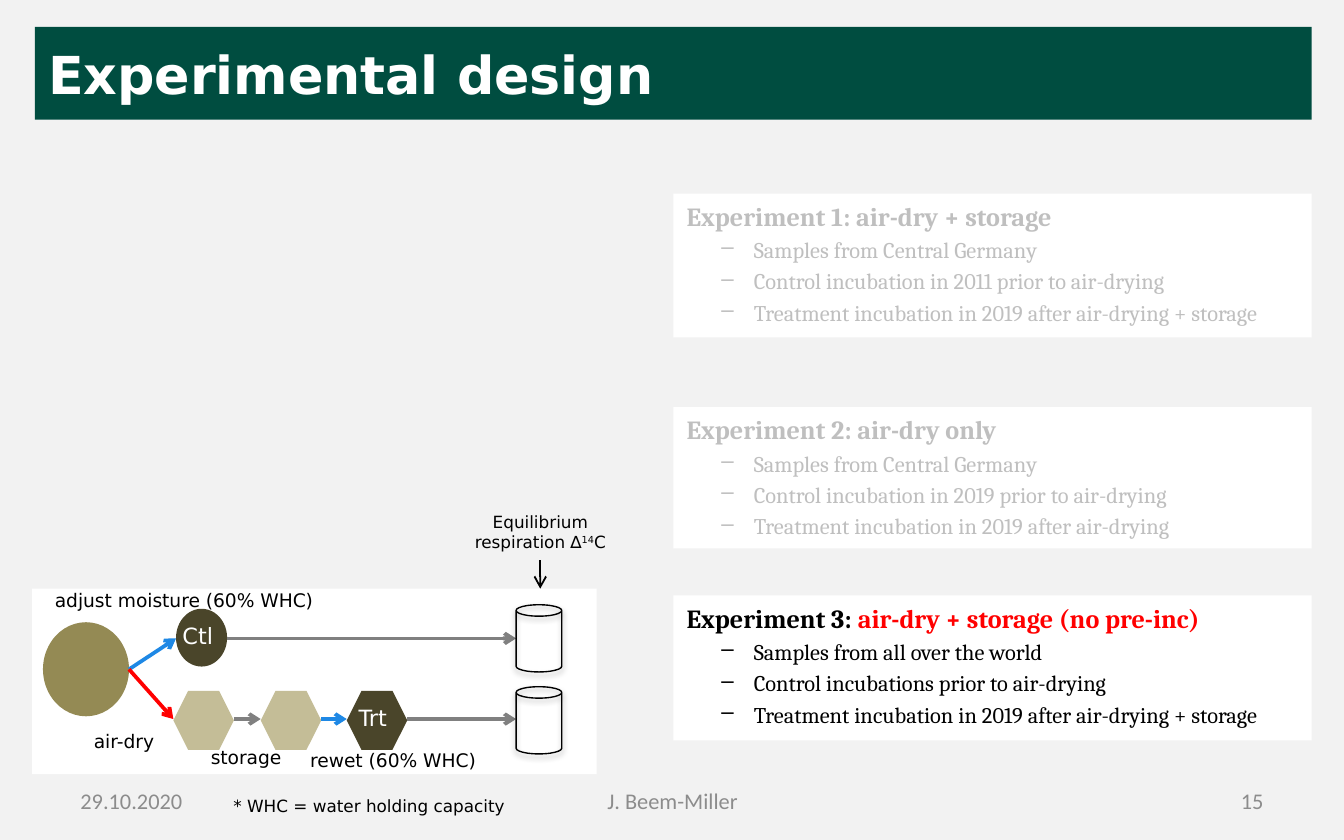
from dataclasses import dataclass

from lxml import etree
from pptx import Presentation
from pptx import util as u
from pptx.dml.color import RGBColor
from pptx.enum import shapes, text
from pptx.oxml.ns import qn

PX = 9144  # 100 px to the inch
SHAPE = shapes.MSO_SHAPE
ALIGN = text.PP_ALIGN
ANCHOR = text.MSO_ANCHOR


@dataclass(frozen=True)
class Theme:
    background: str = "F2F2F2"
    panel: str = "FFFFFF"
    title_bar: str = "004D40"
    ink: str = "000000"
    muted: str = "BFBFBF"
    footer: str = "8C8C8C"
    soil: str = "948A54"
    dry_soil: str = "C4BD97"
    moist_soil: str = "4A452A"
    wet: str = "1E88E5"
    dry: str = "FF0000"
    neutral: str = "808080"
    sans: str = "DejaVu Sans"
    serif: str = "Cambria"
    plain: str = "Calibri"
    title_size: int = 28
    heading_size: int = 14
    body_size: int = 12
    label_size: int = 10
    note_size: int = 9


def px(*lengths):
    return [u.Emu(length * PX) for length in lengths]


def add_xml(parent, tag, **attributes):
    element = etree.SubElement(parent, qn(tag))
    for name, value in attributes.items():
        element.set(name, str(value))
    return element


def write(paragraph, words, *, font, size, color, bold=False, align=ALIGN.LEFT,
          superscript=False):
    """Add one formatted run to the paragraph."""
    paragraph.alignment = align
    run = paragraph.add_run()
    run.text = words
    run.font.name, run.font.size, run.font.bold = font, u.Pt(size), bold
    run.font.color.rgb = RGBColor.from_string(color)
    if superscript:
        run.font._element.set("baseline", "30000")


def space_and_bullet(paragraph, bullet=False, last=False):
    properties = paragraph._p.get_or_add_pPr()
    add_xml(add_xml(properties, "a:spcBef"), "a:spcPct", val=20000)
    if last:
        paragraph.space_after = u.Pt(6)
    if bullet:
        paragraph.level = 1
        left, hanging = px(50, -24)
        properties.set("marL", str(left))
        properties.set("indent", str(hanging))
        add_xml(properties, "a:buChar", char="–")


class SlideBuilder:
    def __init__(self, slide, theme):
        self.slide, self.theme = slide, theme
        slide.background.fill.solid()
        slide.background.fill.fore_color.rgb = RGBColor.from_string(theme.background)

    def block(self, kind, left, top, width, height, fill):
        shape = self.slide.shapes.add_shape(kind, *px(left, top, width, height))
        shape.shadow.inherit = False
        shape.fill.solid()
        shape.fill.fore_color.rgb = RGBColor.from_string(fill)
        shape.line.fill.background()
        return shape

    def title(self, words, *box):
        bar = self.block(SHAPE.RECTANGLE, *box, self.theme.title_bar)
        bar.text_frame.vertical_anchor = ANCHOR.MIDDLE
        write(bar.text_frame.paragraphs[0], words, font=self.theme.sans,
              size=self.theme.title_size, color=self.theme.panel, bold=True)

    def experiment(self, top, height, heading, items, color):
        """Panel with a heading of (words, colour) pairs above dashed items."""
        panel = self.block(SHAPE.RECTANGLE, 501, top, 475, height, self.theme.panel)
        frame = panel.text_frame
        frame.word_wrap, frame.vertical_anchor = True, ANCHOR.TOP
        paragraph = frame.paragraphs[0]
        space_and_bullet(paragraph)
        for words, heading_color in heading:
            write(paragraph, words, font=self.theme.serif,
                  size=self.theme.heading_size, color=heading_color, bold=True)
        for item in items:
            paragraph = frame.add_paragraph()
            space_and_bullet(paragraph, bullet=True, last=item is items[-1])
            write(paragraph, item, font=self.theme.serif,
                  size=self.theme.body_size, color=color)

    def label(self, words, left, top, width, height, *, wrap=False, grow=True,
              anchor=ANCHOR.TOP, **style):
        box = self.slide.shapes.add_textbox(*px(left, top, width, height))
        frame = box.text_frame
        frame.word_wrap, frame.vertical_anchor = wrap, anchor
        if grow:
            frame.auto_size = text.MSO_AUTO_SIZE.SHAPE_TO_FIT_TEXT
        style = {"font": self.theme.sans, "size": self.theme.label_size,
                 "color": self.theme.ink} | style
        write(frame.paragraphs[0], words, **style)
        return box

    def footer(self, words, left, width, align):
        self.label(words, left, 579, width, 33, wrap=True, grow=False,
                   anchor=ANCHOR.MIDDLE, font=self.theme.plain,
                   size=self.theme.body_size, color=self.theme.footer, align=align)

    def arrow(self, start, end, color, width=2):
        connector = self.slide.shapes.add_connector(
            shapes.MSO_CONNECTOR.STRAIGHT, *px(*start, *end))
        connector.line.color.rgb = RGBColor.from_string(color)
        connector.line.width = u.Pt(width)
        properties = connector._element.spPr
        add_xml(properties.find(qn("a:ln")), "a:tailEnd", type="arrow")
        add_xml(properties, "a:effectLst")
        return connector

    def jar(self, left, top):
        jar = self.block(SHAPE.CAN, left, top, 34, 50, self.theme.panel)
        jar.fill.background()
        jar.line.color.rgb = RGBColor.from_string(self.theme.ink)
        jar.line.width = u.Pt(0.75)
        shadow = add_xml(jar._element.spPr.find(qn("a:effectLst")), "a:outerShdw",
                         blurRad=u.Pt(3.1), dist=u.Pt(1.8), dir=5400000, rotWithShape=0)
        add_xml(add_xml(shadow, "a:srgbClr", val=self.theme.ink), "a:alpha", val=35000)


def draw_experiments(builder):
    theme = builder.theme
    germany = "Samples from Central Germany"
    stored = "Treatment incubation in 2019 after air-drying + storage"
    builder.experiment(144, 107, [("Experiment 1: air-dry + storage", theme.muted)],
                       [germany, "Control incubation in 2011 prior to air-drying", stored],
                       theme.muted)
    builder.experiment(303, 105, [("Experiment 2: air-dry only", theme.muted)],
                       [germany, "Control incubation in 2019 prior to air-drying",
                        "Treatment incubation in 2019 after air-drying"], theme.muted)
    builder.experiment(443, 108, [("Experiment 3: ", theme.ink),
                                  ("air-dry + storage (no pre-inc)", theme.dry)],
                       ["Samples from all over the world",
                        "Control incubations prior to air-drying", stored], theme.ink)


def draw_diagram(builder):
    theme = builder.theme
    control_y, treatment_y, jar_left, hexagon_width = 475, 535, 384, 45
    source = (96, 498)
    builder.block(SHAPE.RECTANGLE, 24, 438, 420, 138, theme.panel)
    builder.block(SHAPE.OVAL, 32, 463, 64, 70, theme.soil)
    builder.block(SHAPE.OVAL, 131, 453, 38, 43, theme.moist_soil)
    builder.arrow(source, (131, control_y), theme.wet)
    builder.arrow(source, (129, treatment_y), theme.dry)
    builder.arrow((169, control_y), (jar_left, control_y), theme.neutral)

    lefts = [129, 194, 258]
    fills = [theme.dry_soil, theme.dry_soil, theme.moist_soil]
    arrow_colors = [theme.neutral, theme.wet, theme.neutral]
    for left, following, fill, color in zip(lefts, lefts[1:] + [jar_left], fills, arrow_colors):
        builder.block(SHAPE.HEXAGON, left, 514, hexagon_width, 44, fill)
        builder.arrow((left + hexagon_width, treatment_y), (following, treatment_y), color)
    for top in (450, 511):
        builder.jar(jar_left, top)

    for words, left, top in (("Trt", 257, 519), ("Ctl", 126, 458)):
        builder.label(words, left, top, 43, 30, size=theme.body_size, color=theme.panel)
    builder.label("air-dry", 60, 538, 68, 27)
    builder.label("adjust moisture (60% WHC)", 31, 433, 221, 44)
    builder.label("rewet (60% WHC)", 221, 552, 150, 27)
    builder.label("storage", 147, 550, 73, 27)

    note = {"wrap": True, "size": theme.note_size, "align": ALIGN.CENTER}
    builder.label("* WHC = water holding capacity", 162, 587, 225, 25, **note)
    respiration = builder.label("Equilibrium respiration ∆", 333, 376, 138, 41, **note)
    for words, raised in (("14", True), ("C", False)):
        write(respiration.text_frame.paragraphs[0], words, font=theme.sans,
              size=theme.note_size, color=theme.ink, align=ALIGN.CENTER, superscript=raised)
    pointer = builder.arrow((402, 417), (402, 438), theme.ink, width=1)
    pointer.begin_connect(respiration, 2)


def main():
    presentation = Presentation()
    presentation.slide_width, presentation.slide_height = px(1000, 625)
    slide = presentation.slides.add_slide(presentation.slide_layouts[6])
    builder = SlideBuilder(slide, Theme())
    builder.title("Experimental design", 26, 20, 950, 69)
    draw_experiments(builder)
    draw_diagram(builder)
    builder.footer("29.10.2020", 50, 233, ALIGN.LEFT)
    builder.footer("J. Beem-Miller", 342, 317, ALIGN.CENTER)
    builder.footer("15", 717, 233, ALIGN.RIGHT)
    presentation.save("out.pptx")


if __name__ == "__main__":
    main()
